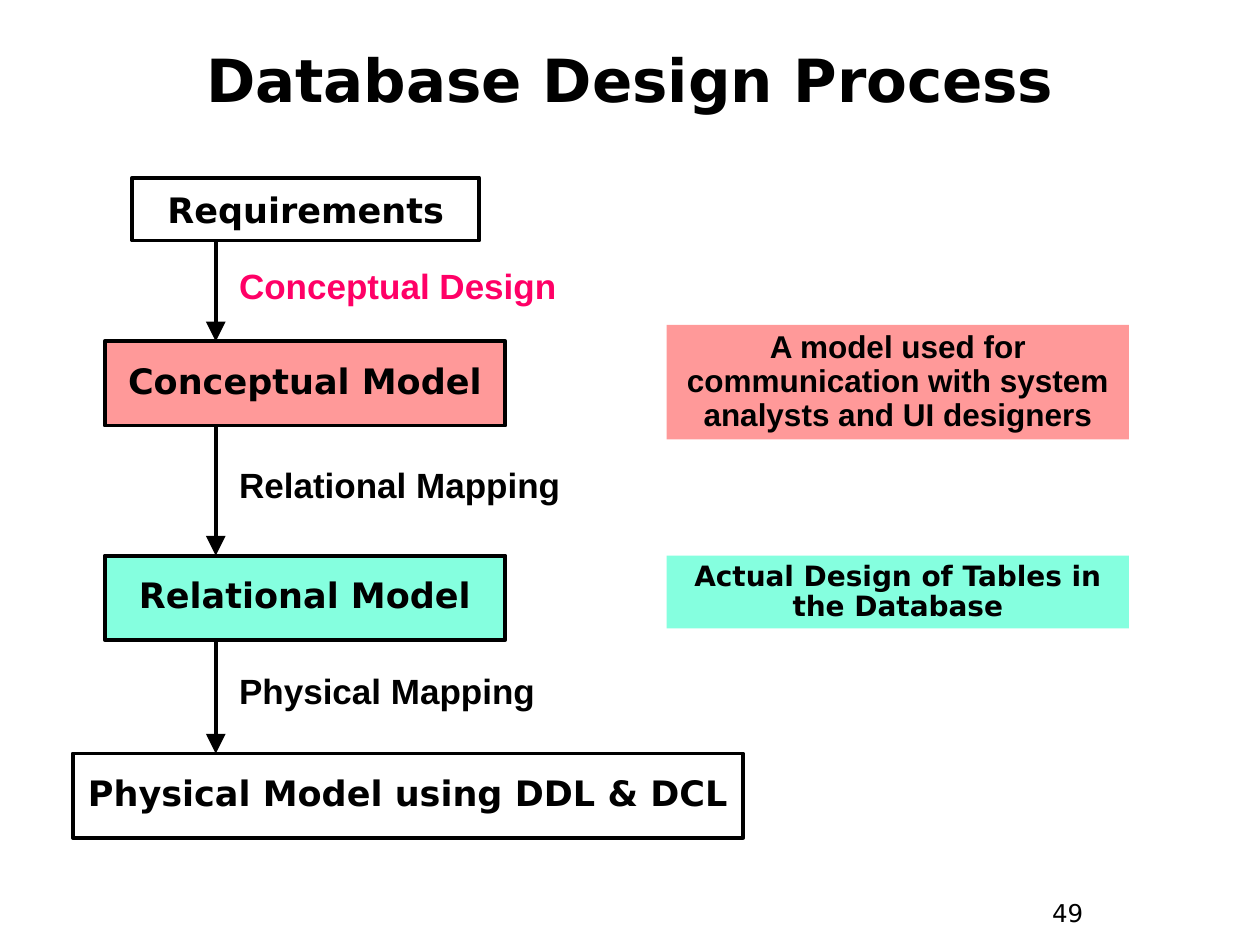
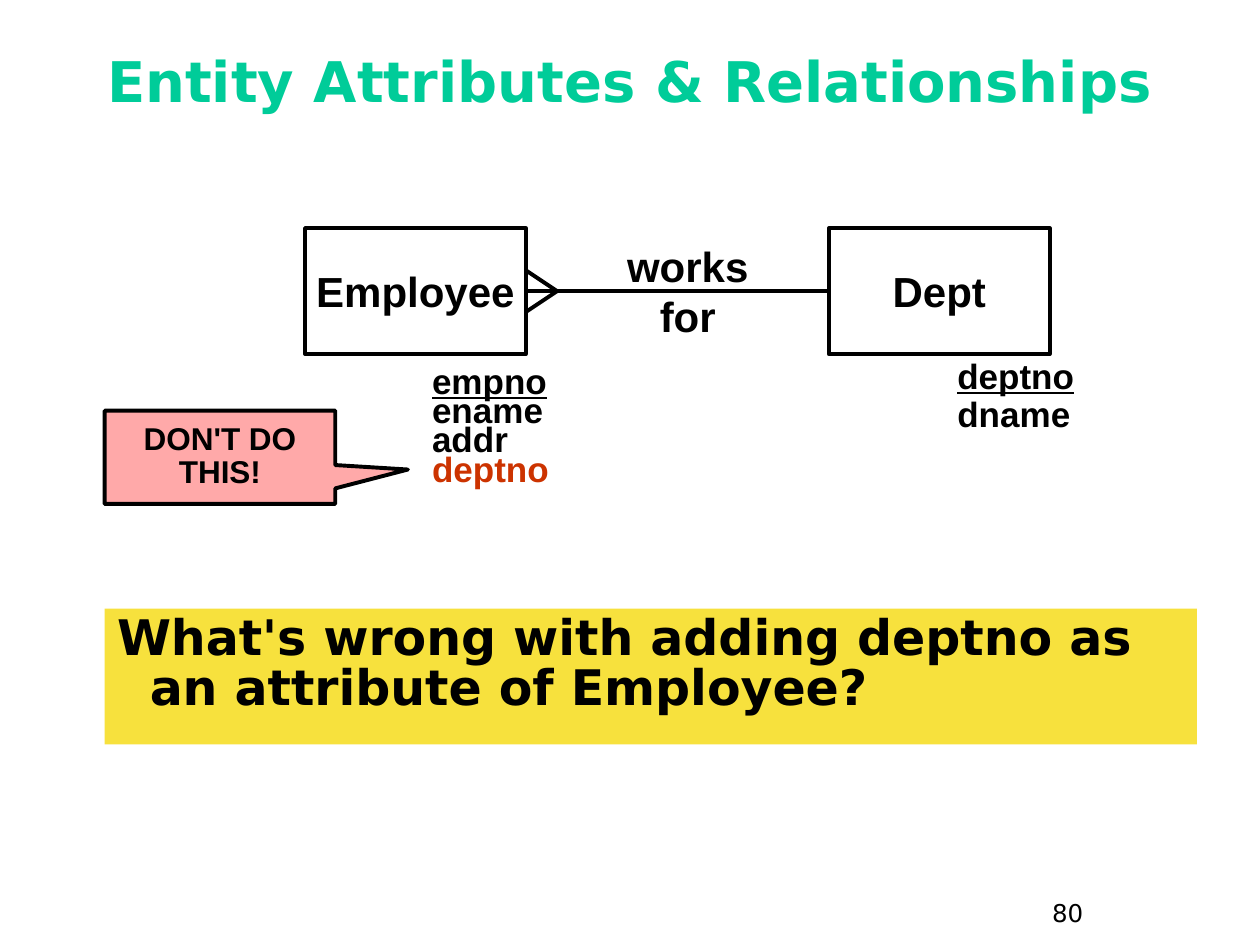
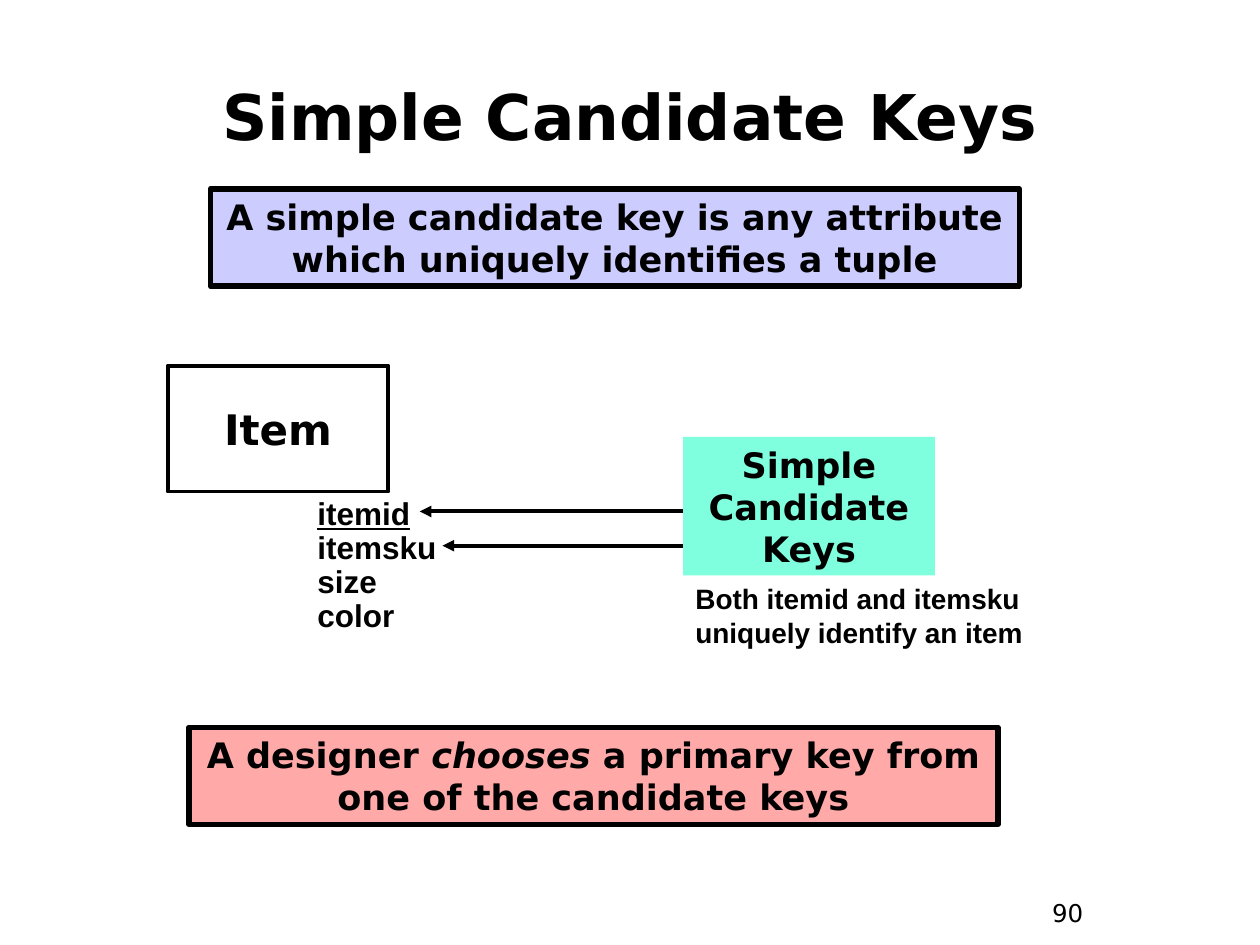
from dataclasses import dataclass

from lxml import etree
from pptx import Presentation
from pptx.dml.color import RGBColor
from pptx.enum.shapes import MSO_CONNECTOR, MSO_SHAPE
from pptx.enum.text import MSO_ANCHOR, MSO_AUTO_SIZE, PP_ALIGN
from pptx.oxml.ns import qn
from pptx.util import Cm, Pt

RECTANGLE = MSO_SHAPE.RECTANGLE
CALLOUT = MSO_SHAPE.RECTANGULAR_CALLOUT
STRAIGHT = MSO_CONNECTOR.STRAIGHT
TOP, MIDDLE = MSO_ANCHOR.TOP, MSO_ANCHOR.MIDDLE
LEFT, CENTER = PP_ALIGN.LEFT, PP_ALIGN.CENTER
NO_AUTO_SIZE = MSO_AUTO_SIZE.NONE
TITLE_ONLY = 5


@dataclass(frozen=True)
class Theme:
    sans: str = "Arial"
    display: str = "DejaVu Sans"
    black: str = "000000"
    pink: str = "FF0066"
    green: str = "00CC99"
    red: str = "CC3300"
    coral: str = "FF9999"
    rose: str = "FFA9A9"
    mint: str = "85FFDF"
    aqua: str = "7FFFDD"
    yellow: str = "F7E13D"
    lavender: str = "CCCCFF"
    number: int = 14
    small: int = 16
    note: int = 18
    body: int = 20
    entity: int = 24
    question: int = 28
    line: float = 2.25
    heavy_line: float = 3


THEME = Theme()


@dataclass(frozen=True)
class Box:
    left: float
    top: float
    width: float
    height: float

    @property
    def right(self):
        return self.left + self.width

    @property
    def bottom(self):
        return self.top + self.height

    @property
    def middle(self):
        return self.top + self.height / 2

    def inside(self, left, top, width, height):
        return Box(self.left + left, self.top + top, width, height)

    def lengths(self):
        return Cm(self.left), Cm(self.top), Cm(self.width), Cm(self.height)


def format_font(font, size, name, color, bold, italic=False, underline=False):
    font.size = Pt(size)
    font.name = name
    font.bold = bold
    font.italic = italic
    font.underline = underline
    font.color.rgb = RGBColor.from_string(color)


def write(frame, text, size=THEME.body, font=THEME.display, color=THEME.black,
          bold=True, align=LEFT, anchor=TOP, spacing=1.0, wrap=True, hanging=0):
    frame.auto_size = NO_AUTO_SIZE
    frame.word_wrap = wrap
    frame.vertical_anchor = anchor
    frame.margin_left = frame.margin_right = Cm(0.25)
    frame.margin_top = frame.margin_bottom = Cm(0.13)
    for index, content in enumerate([text] if isinstance(text, str) else text):
        paragraph = frame.paragraphs[0] if index == 0 else frame.add_paragraph()
        paragraph.alignment = align
        paragraph.line_spacing = spacing
        paragraph.space_before = Pt(0)
        if hanging:
            properties = paragraph._p.get_or_add_pPr()
            properties.set("marL", str(Cm(hanging)))
            properties.set("indent", str(-Cm(hanging)))
        for words, changes in [(content, {})] if isinstance(content, str) else content:
            run = paragraph.add_run()
            run.text = words
            format_font(run.font, **{"size": size, "name": font, "color": color,
                                     "bold": bold, **changes})


def add_text(slide, box, text, **style):
    write(slide.shapes.add_textbox(*box.lengths()).text_frame, text, **style)


def add_panel(slide, box, text, fill=None, line=None, kind=RECTANGLE, **style):
    shape = slide.shapes.add_shape(kind, *box.lengths())
    shape.shadow.inherit = False
    if fill:
        shape.fill.solid()
        shape.fill.fore_color.rgb = RGBColor.from_string(fill)
    else:
        shape.fill.background()
    if line:
        shape.line.width = Pt(line)
        shape.line.color.rgb = RGBColor.from_string(THEME.black)
    else:
        shape.line.fill.background()
    write(shape.text_frame, text, **{"align": CENTER, **style})
    return shape


def add_line(slide, start, end, head=None):
    points = [Cm(value) for value in (*start, *end)]
    connector = slide.shapes.add_connector(STRAIGHT, *points)
    connector.line.width = Pt(THEME.line)
    connector.line.color.rgb = RGBColor.from_string(THEME.black)
    if head:
        etree.SubElement(connector.line._get_or_add_ln(), qn("a:tailEnd"),
                         type="triangle", w=head, len=head)
    etree.SubElement(connector._element.spPr, qn("a:effectLst"))


def add_titled_slide(presentation, title, number, top, height, size, color=THEME.black):
    slide = presentation.slides.add_slide(presentation.slide_layouts[TITLE_ONLY])
    placeholder = slide.shapes.title
    box = Box(0.85, top, 23.7, height)
    placeholder.left, placeholder.top, placeholder.width, placeholder.height = box.lengths()
    write(placeholder.text_frame, title, size=size, color=color, align=CENTER, anchor=MIDDLE)
    add_text(slide, Box(20.96, 17.98, 1.9, 0.94), number, size=THEME.number, bold=False)
    return slide


def add_process(slide, box):
    models = [
        ("Requirements", box.inside(1.2, 0, 6.99, 1.27), None),
        ("Conceptual Model", box.inside(0.64, 3.3, 8.08, 1.7), THEME.coral),
        ("Relational Model", box.inside(0.64, 7.62, 8.08, 1.7), THEME.mint),
        ("Physical Model using DDL & DCL", box.inside(0, 11.61, 13.51, 1.7), None),
    ]
    steps = [("Conceptual Design", THEME.pink), ("Relational Mapping", THEME.black),
             ("Physical Mapping", THEME.black)]
    for name, area, fill in models:
        add_panel(slide, area, name, fill=fill, line=THEME.line, anchor=MIDDLE,
                  spacing=1.0 if name == "Requirements" else 0.85, wrap=False)
    arrow_x = box.left + 2.88
    for (step, color), above, below in zip(steps, models, models[1:]):
        start, end = above[1].bottom, below[1].top
        add_line(slide, (arrow_x, start), (arrow_x, end), head="lg")
        label = Box(box.left + 3.1, (start + end) / 2 - 0.54, 9.6, 1)
        add_text(slide, label, step, font=THEME.sans, color=color, spacing=0.85)


def add_model_notes(slide, box):
    add_panel(slide, box.inside(0, 0, box.width, 2.31),
              "A model used for communication with system analysts and UI designers",
              fill=THEME.coral, size=THEME.note, font=THEME.sans, spacing=0.9)
    add_panel(slide, box.inside(0, 4.65, box.width, 1.47),
              "Actual Design of Tables in the Database",
              fill=THEME.mint, size=THEME.small, spacing=0.9)


def add_entity(slide, box, name, attributes, attribute_box, font=THEME.sans,
               attribute_size=THEME.body, spacing=0.9):
    add_panel(slide, box, name, line=THEME.line, size=THEME.entity, font=font,
              anchor=MIDDLE, wrap=False)
    key, *others = attributes
    add_text(slide, box.inside(*attribute_box), [[(key, {"underline": True})], *others],
             size=attribute_size, font=THEME.sans, spacing=spacing)


def add_relationship(slide, box):
    employee = box.inside(4.04, 0, 4.45, 2.54)
    department = box.inside(14.6, 0, 4.45, 2.54)
    add_entity(slide, employee, "Employee",
               ["empno", "ename", "addr", [("deptno", {"color": THEME.red})]],
               (2.31, 2.74, 2.97, 2.64), spacing=0.7)
    add_entity(slide, department, "Dept", ["deptno", "dname"], (2.34, 2.51, 2.97, 1.78))
    add_line(slide, (department.left, employee.middle), (employee.right, employee.middle))
    for spread in (-0.42, 0.42):
        add_line(slide, (employee.right + 0.63, employee.middle),
                 (employee.right, employee.middle + spread))
    add_text(slide, box.inside(9.75, 0.12, 4.01, 2.29), "works for",
             size=THEME.entity, font=THEME.sans, align=CENTER)
    warning = add_panel(slide, box.inside(0, 3.68, 4.65, 1.88), "DON'T DO THIS!",
                        kind=CALLOUT, fill=THEME.rose, line=THEME.line, size=THEME.note,
                        font=THEME.sans, anchor=MIDDLE, spacing=0.85)
    warning.adjustments[0] = 0.815
    warning.adjustments[1] = 0.131


def add_candidate_keys(slide, box):
    add_entity(slide, box.inside(0, 0, 4.45, 2.54), "Item",
               ["itemid", "itemsku", "size", "color"], (2.77, 2.54, 4.24, 3),
               font=THEME.display, attribute_size=THEME.note)
    keys = box.inside(10.39, 1.44, 5.08, 2.79)
    add_panel(slide, keys, "Simple Candidate Keys", fill=THEME.aqua)
    for tip_x, arrow_y in ((5.08, 2.94), (5.54, 3.63)):
        add_line(slide, (keys.left, box.top + arrow_y),
                 (box.left + tip_x, box.top + arrow_y), head="med")
    add_text(slide, keys.inside(0, keys.height, 7.82, 1.63),
             "Both itemid and itemsku uniquely identify an item",
             size=THEME.small, font=THEME.sans)


def build_process_slide(presentation):
    slide = add_titled_slide(presentation, "Database Design Process", "49",
                             top=0.85, height=1.47, size=34)
    add_process(slide, Box(1.47, 3.58, 13.51, 13.31))
    add_model_notes(slide, Box(13.44, 6.55, 9.32, 6.12))


def build_relationship_slide(presentation):
    slide = add_titled_slide(presentation, "Entity Attributes & Relationships", "80",
                             top=0.66, height=1.9, size=32, color=THEME.green)
    add_relationship(slide, Box(2.11, 4.6, 19.05, 5.56))
    add_panel(slide, Box(2.11, 12.27, 22.02, 2.74),
              "What's wrong with adding deptno as an attribute of Employee?",
              fill=THEME.yellow, size=THEME.question, align=LEFT, spacing=0.85, hanging=0.66)


def build_candidate_key_slide(presentation):
    slide = add_titled_slide(presentation, "Simple Candidate Keys", "90",
                             top=1.27, height=2.11, size=36)
    add_panel(slide, Box(4.24, 3.81, 16.31, 1.96),
              "A simple candidate key is any attribute which uniquely identifies a tuple",
              fill=THEME.lavender, line=THEME.heavy_line)
    add_candidate_keys(slide, Box(3.38, 7.37, 18.21, 5.87))
    add_panel(slide, Box(3.81, 14.66, 16.31, 1.96),
              [[("A designer ", {}), ("chooses", {"italic": True}),
                (" a primary key from one of the candidate keys", {})]],
              fill=THEME.rose, line=THEME.heavy_line)


def main():
    presentation = Presentation()
    presentation.slide_width = Cm(25.4)
    presentation.slide_height = Cm(19.05)
    build_process_slide(presentation)
    build_relationship_slide(presentation)
    build_candidate_key_slide(presentation)
    presentation.save("out.pptx")


if __name__ == "__main__":
    main()
